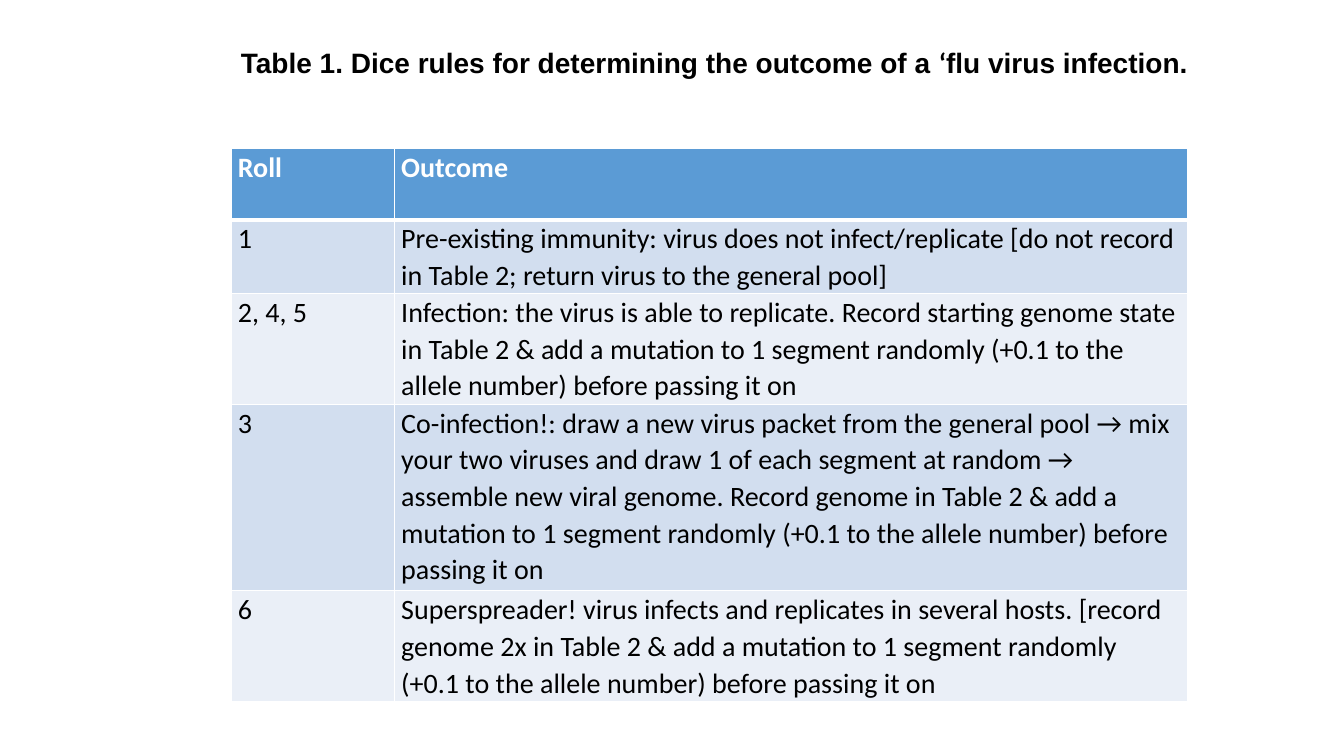
from lxml import etree
from pptx import Presentation
from pptx import util as u
from pptx.dml.color import RGBColor
from pptx.enum import text
from pptx.oxml import ns

PX = 9144  # EMU per px, 100 px to the inch

WHITE = RGBColor(0xFF, 0xFF, 0xFF)
BLACK = RGBColor(0x00, 0x00, 0x00)
HEADER_BLUE = RGBColor(0x5B, 0x9B, 0xD5)
BANDS = (RGBColor(0xD2, 0xDE, 0xEF), RGBColor(0xEA, 0xEF, 0xF7))

TITLE = (
    ("Table 1. Dice rules for determining the outcome of a ", "Arial"),
    ("‘", "Calibri"),
    ("flu virus infection.", "Arial"),
)

# Row height in px, roll, outcome
RULES = (
    (71, "Roll", "Outcome"),
    (73, "1", "Pre-existing immunity: virus does not infect/replicate "
     "[do not record in Table 2; return virus to the general pool]"),
    (110, "2, 4, 5", "Infection: the virus is able to replicate. Record starting "
     "genome state in Table 2 & add a mutation to 1 segment randomly "
     "(+0.1 to the allele number) before passing it on"),
    (185, "3", "Co-infection!: draw a new virus packet from the general pool → mix "
     "your two viruses and draw 1 of each segment at random → assemble new viral "
     "genome. Record genome in Table 2 & add a mutation to 1 segment randomly "
     "(+0.1 to the allele number) before passing it on"),
    (110, "6", "Superspreader! virus infects and replicates in several hosts. "
     "[record genome 2x in Table 2 & add a mutation to 1 segment randomly "
     "(+0.1 to the allele number) before passing it on"),
)
COLUMN_WIDTHS = (162, 787)


def px(*lengths):
    return [u.Emu(length * PX) for length in lengths]


def apply(target, values):
    for name, value in values.items():
        setattr(target, name, value)


def add_run(paragraph, wording, font, color, bold):
    run = paragraph.add_run()
    run.text = wording
    apply(run.font, {"name": font, "size": u.Pt(20), "bold": bold})
    run.font.color.rgb = color


def add_title(slide, left, top, width, height):
    frame = slide.shapes.add_textbox(*px(left, top, width, height)).text_frame
    apply(frame, {"word_wrap": False, "vertical_anchor": text.MSO_ANCHOR.TOP})
    for wording, font in TITLE:
        add_run(frame.paragraphs[0], wording, font, BLACK, True)


def set_borders(cell, widths):
    """Draw white borders; widths maps each side letter to points."""
    properties = cell._tc.get_or_add_tcPr()
    for side, points in widths.items():
        line = etree.SubElement(properties, ns.qn(f"a:ln{side}"), w=str(u.Pt(points)))
        fill = etree.SubElement(line, ns.qn("a:solidFill"))
        etree.SubElement(fill, ns.qn("a:srgbClr"), val=str(WHITE))


def fill_cell(cell, wording, row):
    header = row == 0
    margin, = px(7)
    apply(cell, {"margin_left": margin, "margin_right": margin,
                 "margin_top": 0, "margin_bottom": 0})
    # A thick line parts the header from the rules
    set_borders(cell, {"L": 1, "R": 1, "T": 3 if row == 1 else 1,
                       "B": 3 if header else 1})
    cell.fill.solid()
    cell.fill.fore_color.rgb = HEADER_BLUE if header else BANDS[(row - 1) % 2]
    paragraph = cell.text_frame.paragraphs[0]
    apply(paragraph, {"line_spacing": 1.07, "space_after": u.Pt(8)})
    add_run(paragraph, wording, "Calibri", WHITE if header else BLACK, header)


def add_rules_table(slide, left, top):
    height = sum(rule[0] for rule in RULES)
    frame = slide.shapes.add_table(
        len(RULES), len(COLUMN_WIDTHS), *px(left, top, sum(COLUMN_WIDTHS), height))
    rules = frame.table
    for column, width in zip(rules.columns, px(*COLUMN_WIDTHS)):
        column.width = width
    for row, (row_height, *wordings) in enumerate(RULES):
        rules.rows[row].height, = px(row_height)
        for column, wording in enumerate(wordings):
            fill_cell(rules.cell(row, column), wording, row)


def main():
    deck = Presentation()
    deck.slide_width, deck.slide_height = px(1333, 750)
    slide = deck.slides.add_slide(deck.slide_layouts[6])

    # Dice rules
    add_rules_table(slide, 229, 147)

    # Caption above the table
    add_title(slide, 229, 40, 965, 98)

    deck.save("out.pptx")


if __name__ == "__main__":
    main()
